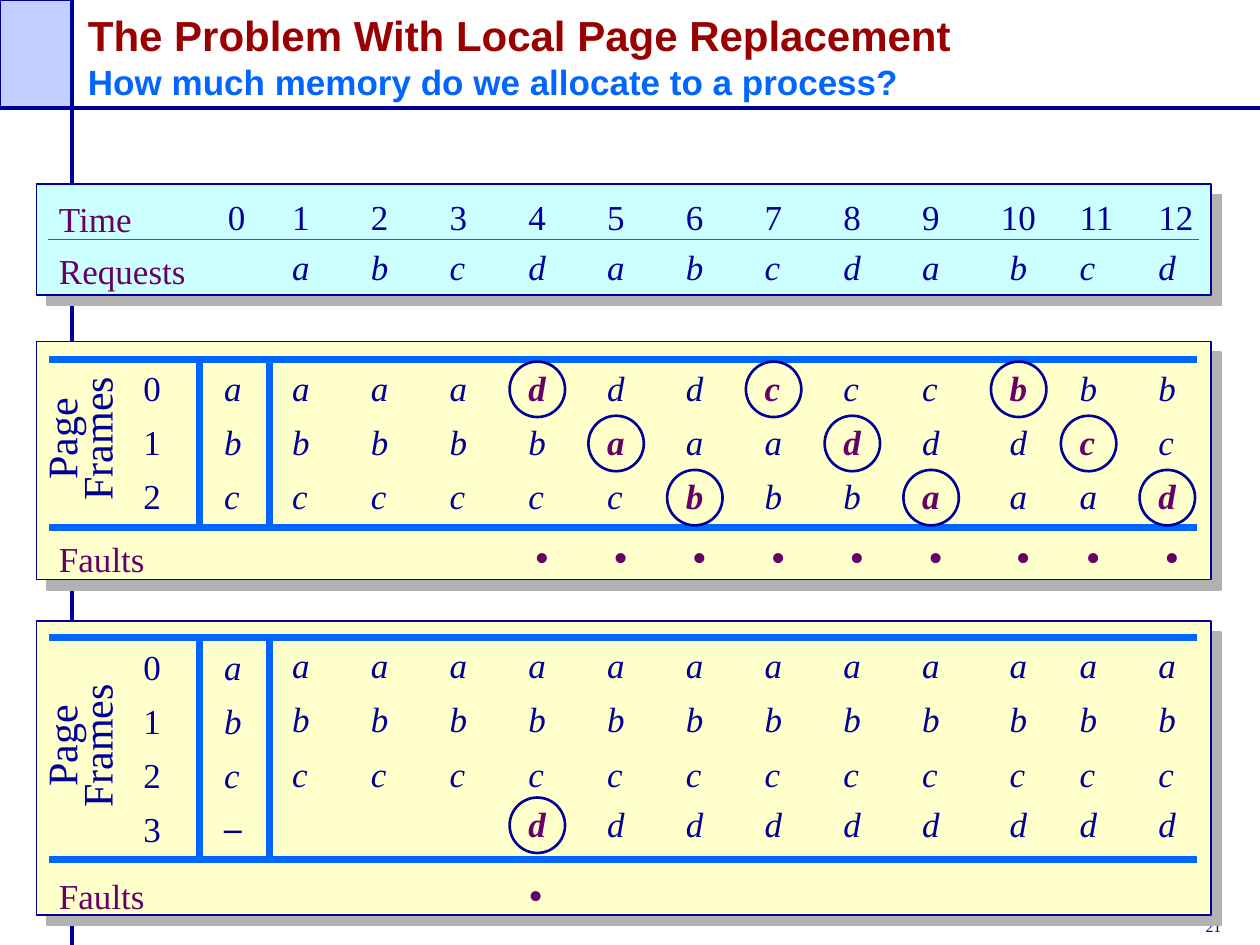
from lxml import etree
from pptx import Presentation
from pptx.dml.color import RGBColor
from pptx.enum.shapes import MSO_CONNECTOR, MSO_SHAPE
from pptx.enum.text import MSO_ANCHOR, MSO_AUTO_SIZE, PP_ALIGN
from pptx.oxml.ns import qn
from pptx.util import Inches, Pt

NAVY, BLUE, PURPLE, RED = "000099", "0066FF", "660066", "990000"
CREAM, CYAN, LILAC, GREY = "FFFFCC", "CCFFFF", "C1CEFF", "B2B2B2"
COLUMNS, STEP, INSET = 12, 0.625, 0.1
GRID_LEFT, SHIFT = 2.22, 0.07  # column 10 stands a little right of its stop
ROW_H, CIRCLE = 0.43, 0.44


def rgb(value):
    return RGBColor.from_string(value)


def column_offset(i):
    return i * STEP + (SHIFT if i == 9 else 0)


class Deck:
    font = "Times New Roman"

    def __init__(self):
        self.prs = Presentation()
        self.prs.slide_width, self.prs.slide_height = Inches(10), Inches(7.5)
        self.s = self.prs.slides.add_slide(self.prs.slide_layouts[6])

    def shape(self, kind, x, y, w, h, fill=None, width=1.0):
        sp = self.s.shapes.add_shape(kind, Inches(x), Inches(y), Inches(w), Inches(h))
        sp.shadow.inherit = False
        if fill:
            sp.fill.solid()
            sp.fill.fore_color.rgb = rgb(fill)
        else:
            sp.fill.background()
        sp.line.color.rgb = rgb(NAVY)
        sp.line.width = Pt(width)
        return sp

    def panel(self, y, h, fill):
        """Box with a hard grey shadow towards the lower right."""
        sp = self.shape(MSO_SHAPE.RECTANGLE, 0.29, y, 9.32, h, fill)
        effects = sp._element.spPr.find(qn("a:effectLst"))
        shadow = etree.SubElement(effects, qn("a:outerShdw"), blurRad="0",
                                  dist=str(Pt(8.5)), dir="2700000", algn="ctr", rotWithShape="0")
        etree.SubElement(shadow, qn("a:srgbClr"), val=GREY)

    def line(self, x1, y1, x2, y2, color=BLUE, width=4.0):
        c = self.s.shapes.add_connector(MSO_CONNECTOR.STRAIGHT, Inches(x1), Inches(y1),
                                        Inches(x2), Inches(y2))
        c.line.color.rgb = rgb(color)
        c.line.width = Pt(width)
        etree.SubElement(c._element.spPr, qn("a:effectLst"))

    def style(self, r, size=20, color=NAVY, bold=False, italic=False, font=None):
        r.font.name = font or self.font
        r.font.size = Pt(size)
        r.font.color.rgb = rgb(color)
        r.font.bold, r.font.italic = bold, italic

    def text(self, text, x, y, w, h=ROW_H, **style):
        sp = self.s.shapes.add_textbox(Inches(x), Inches(y), Inches(w), Inches(h))
        tf = sp.text_frame
        tf.word_wrap = False
        tf.auto_size = MSO_AUTO_SIZE.SHAPE_TO_FIT_TEXT
        tf.text = text
        for p in tf.paragraphs:
            for r in p.runs:
                self.style(r, **style)
        return sp

    def title(self, heading, question):
        sp = self.text(f"{heading}\v{question}", 0.6, 0, 9.4, 0.86,
                       size=24, color=RED, bold=True, font="Arial")
        tf = sp.text_frame
        tf.word_wrap, tf.auto_size = True, MSO_AUTO_SIZE.NONE
        tf.vertical_anchor = MSO_ANCHOR.BOTTOM
        self.style(tf.paragraphs[0].runs[1], 20, BLUE, True, font="Arial")

    def row(self, cells, y, x=GRID_LEFT, w=7.24, h=ROW_H, offset=column_offset,
            marked=(), **style):
        """One tabbed line of the time grid; marked columns are bold purple."""
        sp = self.text("", x, y, w, h)
        p = sp.text_frame.paragraphs[0]
        tabs = etree.SubElement(p._p.get_or_add_pPr(), qn("a:tabLst"))
        for i in range(1, COLUMNS):
            etree.SubElement(tabs, qn("a:tab"), pos=str(Inches(offset(i))), algn="l")
        for i, cell in enumerate(cells):
            r = p.add_run()
            r.text = cell.strip() + ("\t" if i < len(cells) - 1 else "")
            self.style(r, **style)
            if i in marked:
                r.font.bold = True
                r.font.color.rgb = rgb(PURPLE)

    def frame_row(self, number, start, cells, y, label_y):
        """Frame number, first content and history, with each replacement circled."""
        faults = [i for i in range(1, COLUMNS) if cells[i] != cells[i - 1]]
        empty = start == "–"
        self.text(str(number), 1.04, label_y, 0.34)
        self.text(start, 1.68, label_y - (0.02 if empty else 0), 0.32 if start == "c" else 0.34,
                  bold=empty, italic=not empty)
        self.row(cells, y, marked=faults, italic=True)
        for i in faults:
            x = GRID_LEFT + INSET + column_offset(i) - 0.15
            self.shape(MSO_SHAPE.OVAL, x, y + 0.01, CIRCLE, CIRCLE, width=1.5)

    def frames(self, top, bottom, histories, row_tops, label_top, caption_y):
        for y in (top, bottom):
            self.line(0.39, y, 9.5, y)
        for x in (1.58, 2.14):
            self.line(x, top + 0.02, x, bottom - 0.02)
        sp = self.text("Page\nFrames", 0.08, caption_y, 1.18, 0.66, size=24)
        sp.rotation = 270
        for p in sp.text_frame.paragraphs:
            p.alignment, p.line_spacing = PP_ALIGN.CENTER, 0.7
        for i, (start, cells) in enumerate(histories):
            self.frame_row(i, start, cells, row_tops[i], label_top + i * ROW_H)


def main():
    d = Deck()
    d.shape(MSO_SHAPE.RECTANGLE, 0, 0, 0.57, 0.86, LILAC)
    d.text("21", 9.47, 7.23, 0.72, 0.25, size=9)
    d.line(0, 0.86, 10, 0.86, NAVY, 2.25)
    d.line(0.57, 0, 0.57, 7.5, NAVY, 2.25)
    d.title("The Problem With Local Page Replacement",
            "How much memory do we allocate to a process?")
    for y, h, fill in ((2.71, 1.89, CREAM), (4.93, 2.33, CREAM), (1.46, 0.88, CYAN)):
        d.panel(y, h, fill)

    for label, y, w in (("Time", 1.52, 0.8), ("Requests", 1.93, 1.23),
                        ("Faults", 4.22, 0.9), ("Faults", 6.89, 0.9)):
        d.text(label, 0.37, y, w, color=PURPLE)
    d.text("0", 1.71, 1.5, 0.34)
    d.row([str(t) for t in range(1, COLUMNS + 1)], 1.5, w=7.37, offset=lambda i: i * STEP)
    d.line(0.38, 1.9, 9.52, 1.9, width=1)
    d.row("abcd" * 3, 1.9, italic=True)

    d.frames(2.85, 4.19,
             [("a", "aaadddcccbbb"), ("b", "bbbbaaadddcc"), ("c", "cccccbbbaaad")],
             [2.86, 3.29, 3.72], 2.86, 3.15)
    d.row(" " * 3 + "•" * 9, 4.16, x=2.27, w=7.29, h=0.5, size=24, color=PURPLE)

    d.frames(5.06, 6.82,
             [("a", "a" * 12), ("b", "b" * 12), ("c", "c" * 12), ("–", " " * 3 + "d" * 9)],
             [5.06, 5.49, 5.92, 6.32], 5.07, 5.59)
    d.row(" " * 3 + "•", 6.84, w=2.21, h=0.5, size=24, color=PURPLE)
    d.prs.save("out.pptx")


if __name__ == "__main__":
    main()
